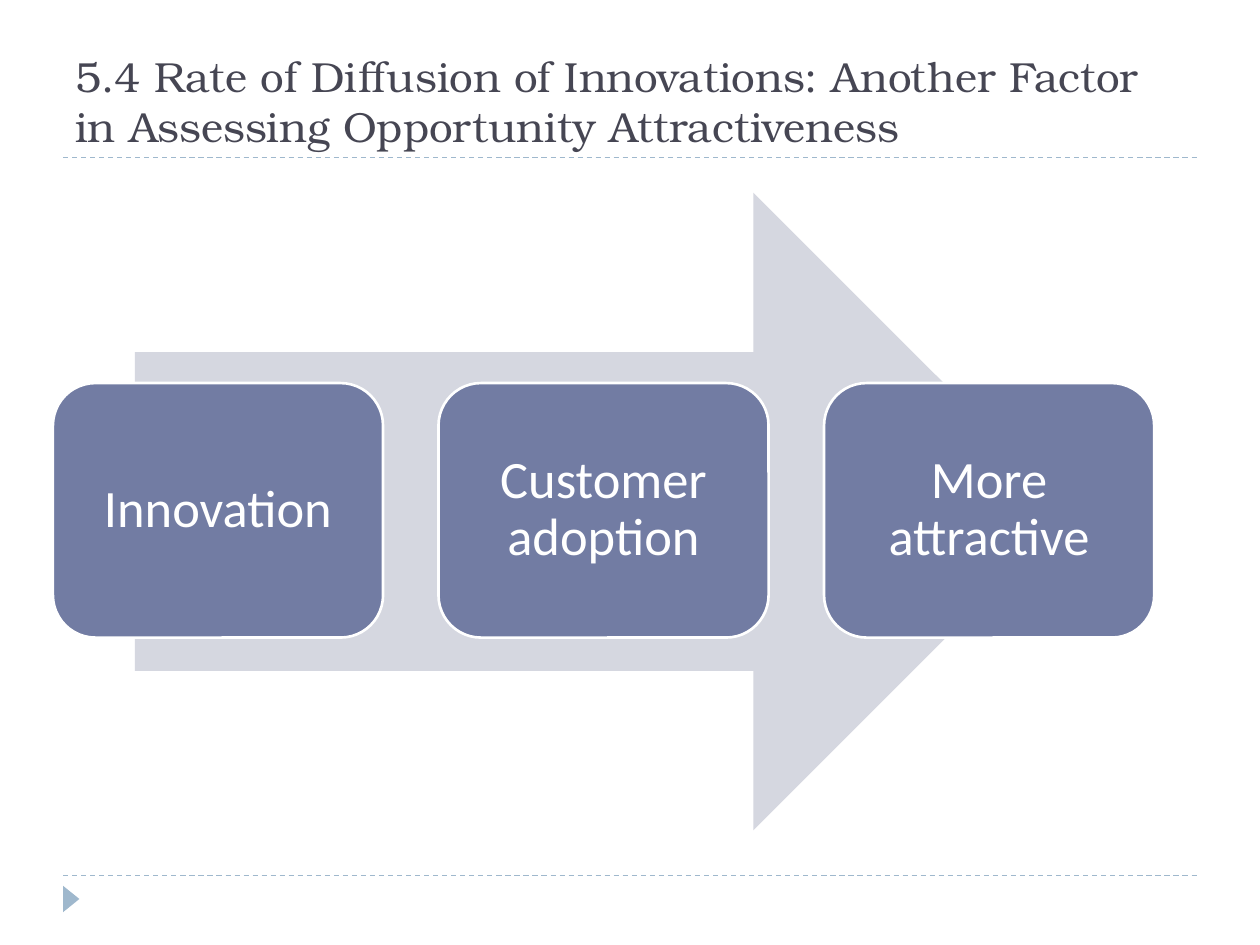
from dataclasses import dataclass

from lxml import etree
from pptx import Presentation
from pptx.dml.color import RGBColor
from pptx.enum.dml import MSO_LINE
from pptx.enum.shapes import MSO_CONNECTOR, MSO_SHAPE
from pptx.enum.text import MSO_ANCHOR, PP_ALIGN
from pptx.oxml.ns import qn
from pptx.util import Inches, Pt

STRAIGHT = MSO_CONNECTOR.STRAIGHT
DASH = MSO_LINE.DASH
TRIANGLE = MSO_SHAPE.ISOSCELES_TRIANGLE
RIGHT_ARROW = MSO_SHAPE.RIGHT_ARROW
ROUNDED_RECTANGLE = MSO_SHAPE.ROUNDED_RECTANGLE
LEFT, CENTER = PP_ALIGN.LEFT, PP_ALIGN.CENTER
MIDDLE, BOTTOM = MSO_ANCHOR.MIDDLE, MSO_ANCHOR.BOTTOM


@dataclass(frozen=True)
class Theme:
    title_color: str = "464653"
    accent: str = "9FB8CD"
    arrow: str = "D5D7E0"
    step: str = "727CA3"
    white: str = "FFFFFF"
    title_font: str = "TeX Gyre Bonum"
    body_font: str = "Calibri"
    title_size: int = 24
    step_size: int = 30
    rule_width: float = 0.75
    step_outline: float = 1.5


def rgb(value):
    return RGBColor.from_string(value)


def write_text(frame, text, *, font, size, color, align=LEFT, anchor=MIDDLE,
               line_spacing=1.0, margins=(0.1, 0.05)):
    """Fill a text frame; margins are horizontal and vertical, in inches."""
    frame.word_wrap = True
    frame.vertical_anchor = anchor
    frame.margin_left = frame.margin_right = Inches(margins[0])
    frame.margin_top = frame.margin_bottom = Inches(margins[1])
    paragraph = frame.paragraphs[0]
    paragraph.alignment = align
    paragraph.line_spacing = line_spacing
    run = paragraph.add_run()
    run.text = text
    run.font.name = font
    run.font.size = Pt(size)
    run.font.color.rgb = rgb(color)


class SlideBuilder:
    def __init__(self, slide, theme):
        self.slide = slide
        self.theme = theme

    def rule(self, left, right, top):
        line = self.slide.shapes.add_connector(
            STRAIGHT, Inches(left), Inches(top), Inches(right), Inches(top))
        line.line.color.rgb = rgb(self.theme.accent)
        line.line.width = Pt(self.theme.rule_width)
        line.line.dash_style = DASH
        etree.SubElement(line._element.spPr, qn("a:effectLst"))

    def shape(self, kind, left, top, width, height, fill, outline=None):
        shape = self.slide.shapes.add_shape(
            kind, Inches(left), Inches(top), Inches(width), Inches(height))
        shape.shadow.inherit = False
        shape.fill.solid()
        shape.fill.fore_color.rgb = rgb(fill)
        if outline:
            shape.line.color.rgb = rgb(outline)
            shape.line.width = Pt(self.theme.step_outline)
        else:
            shape.line.fill.background()
        return shape

    def title(self, text, left, top, width, height):
        box = self.slide.shapes.add_textbox(
            Inches(left), Inches(top), Inches(width), Inches(height))
        write_text(box.text_frame, text, font=self.theme.title_font,
                   size=self.theme.title_size, color=self.theme.title_color,
                   anchor=BOTTOM)

    def step(self, text, left, top, width, height):
        box = self.shape(ROUNDED_RECTANGLE, left, top, width, height,
                         self.theme.step, self.theme.white)
        write_text(box.text_frame, text, font=self.theme.body_font,
                   size=self.theme.step_size, color=self.theme.white,
                   align=CENTER, line_spacing=0.9, margins=(0.12, 0.12))


def main():
    presentation = Presentation()
    presentation.slide_width = Inches(10)
    presentation.slide_height = Inches(7.5)
    slide = presentation.slides.add_slide(presentation.slide_layouts[6])
    theme = Theme()
    builder = SlideBuilder(slide, theme)

    for rule_top in (6.95, 1.25):
        builder.rule(0.5, 9.5, rule_top)
    marker = builder.shape(TRIANGLE, 0.46, 7.07, 0.21, 0.13, theme.accent)
    marker.rotation = 90

    builder.title("5.4 Rate of Diffusion of Innovations: Another Factor "
                  "in Assessing Opportunity Attractiveness", 0.5, 0.17, 9, 1.08)

    builder.shape(RIGHT_ARROW, 1.07, 1.53, 7.44, 5.06, theme.arrow)
    step_left, step_width, step_gap = 0.42, 2.62, 0.44
    for index, text in enumerate(
            ("Innovation", "Customer adoption", "More attractive")):
        left = step_left + index * (step_width + step_gap)
        builder.step(text, left, 3.04, step_width, 2.02)

    presentation.save("out.pptx")


if __name__ == "__main__":
    main()
